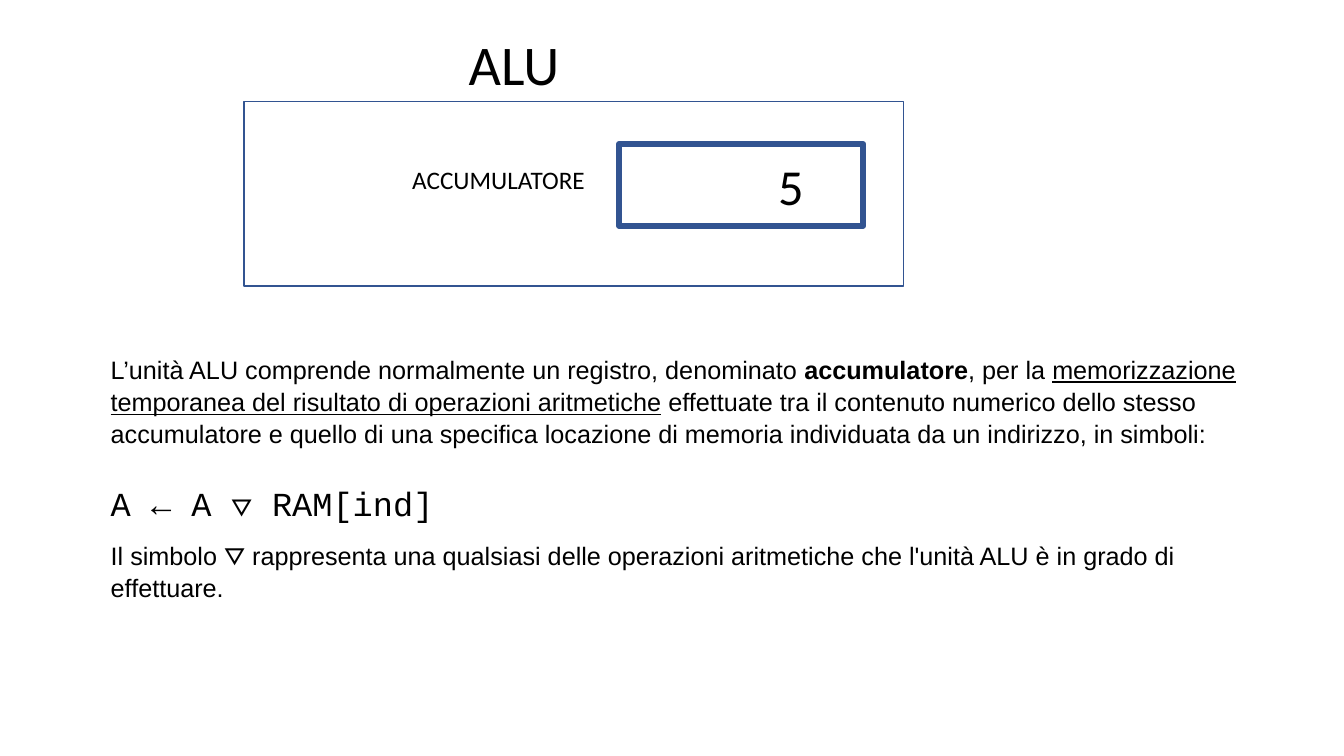
from pptx import Presentation
from pptx.dml.color import RGBColor
from pptx.enum.shapes import MSO_SHAPE
from pptx.enum.text import MSO_ANCHOR
from pptx.util import Inches, Pt

RECTANGLE = MSO_SHAPE.RECTANGLE
TOP, MIDDLE = MSO_ANCHOR.TOP, MSO_ANCHOR.MIDDLE

THEME = {
    "text": RGBColor(0, 0, 0),
    "outline": RGBColor(0x32, 0x54, 0x91),
    "label_font": "Calibri",
    "body": {"name": "Arial", "size": Pt(18)},
    "formula": {"name": "Courier New", "size": Pt(24)},
    "title_size": Pt(40),
    "value_size": Pt(36),
    "label_size": Pt(18),
}

# Content: boxes are left, top, width, height in inches
FRAMES = [  # box, line width in points
    ((2.42, 1.01, 6.54, 1.83), 1),
    ((6.14, 1.43, 2.42, 0.81), 4.5),
]
LABELS = [  # text, box, type size
    ("ALU", (4.55, 0.24, 1.34, 0.77), "title_size"),
    ("ACCUMULATORE", (3.99, 1.58, 2.01, 0.4), "label_size"),
    ("5", (7.62, 1.49, 0.62, 0.71), "value_size"),
]
EXPLANATION_BOX = (1, 3.48, 11.87, 2.51)
EXPLANATION = [  # style, space before in points, runs of (text, emphasis)
    ("body", 0, [
        ("L’unità ALU comprende normalmente un registro, denominato ", {}),
        ("accumulatore", {"bold": True}),
        (", per la ", {}),
        ("memorizzazione temporanea del risultato di operazioni aritmetiche",
         {"underline": True}),
        (" effettuate tra il contenuto numerico dello stesso accumulatore e "
         "quello di una specifica locazione di memoria individuata da un "
         "indirizzo, in simboli:", {}),
    ]),
    ("formula", 22, [("A ← A ⛛ RAM[ind]", {})]),
    ("body", 11, [
        ("Il simbolo ⛛ rappresenta una qualsiasi delle operazioni aritmetiche "
         "che l'unità ALU è in grado di effettuare.", {}),
    ]),
]
LINE_SPACING = 1.07


def add_text_frame(slide, box, anchor=TOP):
    text_frame = slide.shapes.add_textbox(*map(Inches, box)).text_frame
    text_frame.word_wrap = True
    text_frame.vertical_anchor = anchor
    return text_frame


def add_run(paragraph, text, font_values):
    run = paragraph.add_run()
    run.text = text
    run.font.color.rgb = THEME["text"]
    for name, value in font_values.items():
        setattr(run.font, name, value)


def main():
    presentation = Presentation()
    presentation.slide_width = Inches(13.33)
    presentation.slide_height = Inches(7.5)
    slide = presentation.slides.add_slide(presentation.slide_layouts[6])

    # Unit and register outlines
    for box, line_width in FRAMES:
        shape = slide.shapes.add_shape(RECTANGLE, *map(Inches, box))
        shape.shadow.inherit = False
        shape.fill.background()
        shape.line.color.rgb = THEME["outline"]
        shape.line.width = Pt(line_width)

    # Diagram labels
    for text, box, size in LABELS:
        paragraph = add_text_frame(slide, box).paragraphs[0]
        add_run(paragraph, text, {"name": THEME["label_font"], "size": THEME[size]})

    # Explanation
    text_frame = add_text_frame(slide, EXPLANATION_BOX, MIDDLE)
    for index, (style, space_before, runs) in enumerate(EXPLANATION):
        paragraph = text_frame.add_paragraph() if index else text_frame.paragraphs[0]
        paragraph.space_before = Pt(space_before)
        paragraph.line_spacing = LINE_SPACING
        for text, emphasis in runs:
            add_run(paragraph, text, {**THEME[style], **emphasis})

    presentation.save("out.pptx")


if __name__ == "__main__":
    main()
